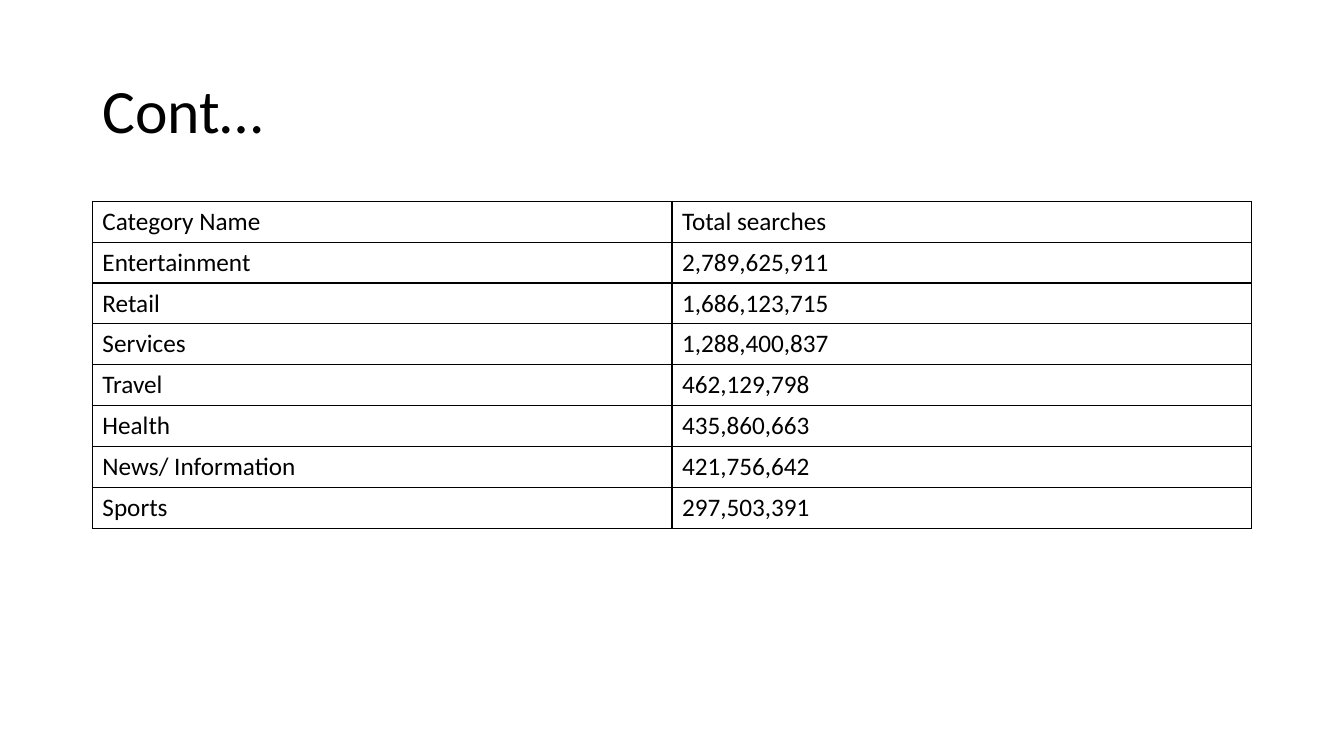
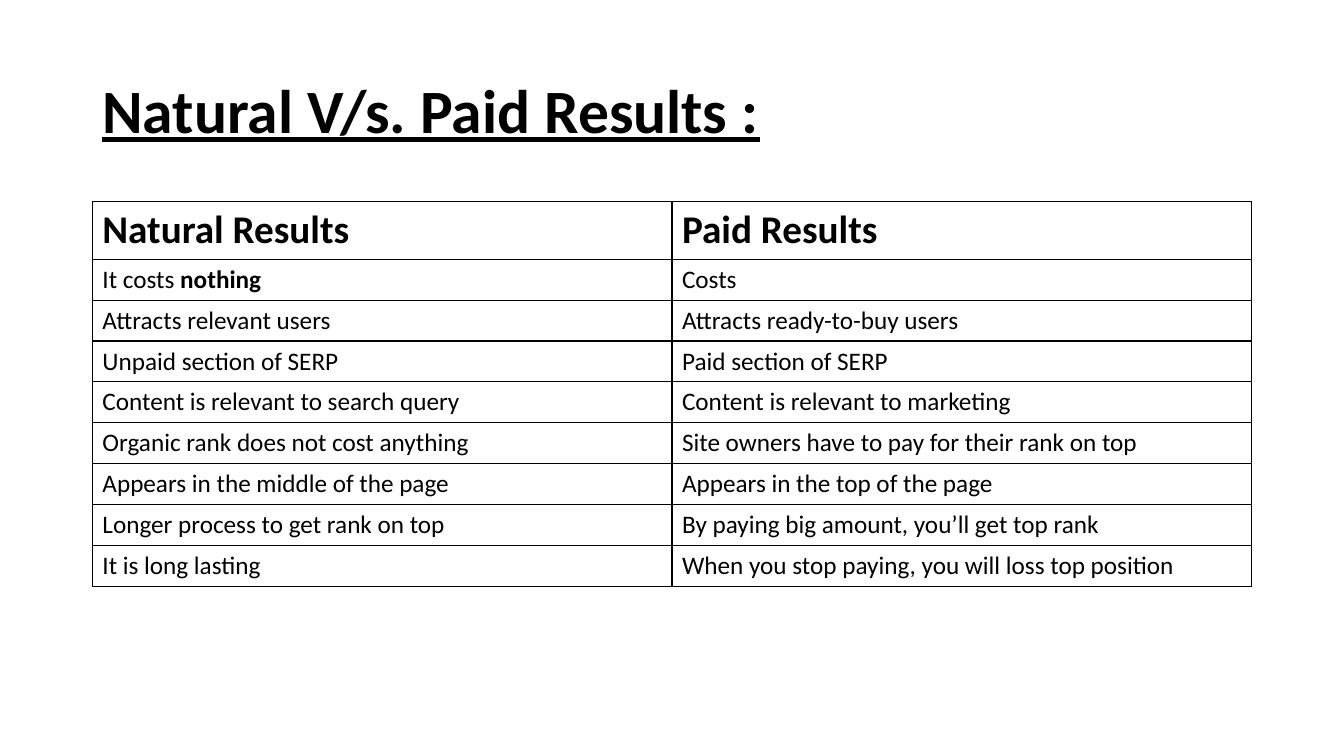
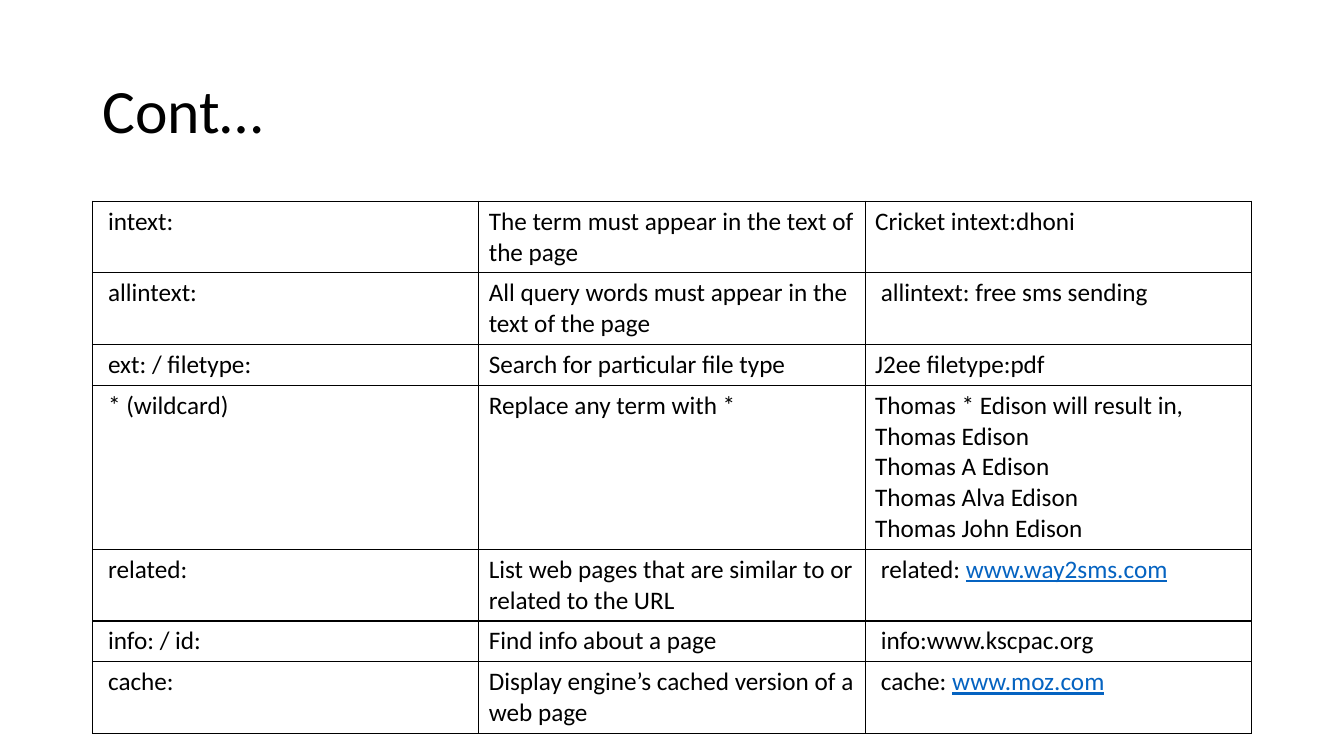
"""Build three search-marketing slides, each a title over a ruled table."""
import dataclasses

import lxml.etree
import pptx
import pptx.dml.color
import pptx.enum.text
import pptx.oxml.ns
import pptx.util

Pt = pptx.util.Pt
RGB = pptx.dml.color.RGBColor.from_string
qn = pptx.oxml.ns.qn


@dataclasses.dataclass(frozen=True)
class Theme:
    font: str = "Calibri"
    ink: str = "000000"
    link: str = "0563C1"
    title_size: int = 44
    header_size: int = 28
    body_size: int = 18
    rule_width: int = 1


THEME = Theme()

PLAIN = {"name": THEME.font, "size": Pt(THEME.body_size), "bold": False, "color": THEME.ink}
BOLD = PLAIN | {"bold": True}
LINK = PLAIN | {"underline": True, "color": THEME.link}
HEADER = BOLD | {"size": Pt(THEME.header_size)}
TITLE = PLAIN | {"size": Pt(THEME.title_size)}
STRONG_TITLE = TITLE | {"bold": True, "underline": True}

LEFT, WIDTH = 66, 828
TITLE_TOP, TITLE_HEIGHT = 28.75, 104.5
TABLE_TOP, ROW_HEIGHT = 143.75, 29.2
INDENTED_MARGIN = 11.25

SEARCHES = [
    ("Category Name", "Total searches"),
    ("Entertainment", "2,789,625,911"),
    ("Retail", "1,686,123,715"),
    ("Services", "1,288,400,837"),
    ("Travel", "462,129,798"),
    ("Health", "435,860,663"),
    ("News/ Information", "421,756,642"),
    ("Sports", "297,503,391"),
]

RESULTS = [
    ([("Natural Results", HEADER)], [("Paid Results", HEADER)]),
    ([("It costs ", PLAIN), ("nothing", BOLD)], "Costs"),
    ("Attracts relevant users", "Attracts ready-to-buy users"),
    ("Unpaid section of SERP", "Paid section of SERP"),
    ("Content is relevant to search query", "Content is relevant to marketing"),
    ("Organic rank does not cost anything", "Site owners have to pay for their rank on top"),
    ("Appears in the middle of the page", "Appears in the top of the page"),
    ("Longer process to get rank on top", "By paying big amount, you’ll get top rank"),
    ("It is long lasting", "When you stop paying, you will loss top position"),
]

OPERATORS = [
    ("intext:", "The term must appear in the text of the page", "Cricket intext:dhoni"),
    ("allintext:", "All query words must appear in the text of the page",
     "allintext: free sms sending"),
    ("ext: / filetype:", "Search for particular file type", "J2ee filetype:pdf"),
    ("* (wildcard)", "Replace any term with *",
     "Thomas * Edison will result in,\nThomas Edison\nThomas A Edison\n"
     "Thomas Alva Edison\nThomas John Edison"),
    ("related:", "List web pages that are similar to or related to the URL",
     [("related: ", PLAIN), ("www.way2sms.com", LINK)]),
    ("info: / id:", "Find info about a page", "info:www.kscpac.org"),
    ("cache:", "Display engine’s cached version of a web page",
     [("cache: ", PLAIN), ("www.moz.com", LINK)]),
]
INDENTED_OPERATORS = {(row, 0) for row in range(len(OPERATORS))} | {
    (row, 2) for row in (1, 4, 5, 6)}

SLIDES = [
    ("Cont…", TITLE, SEARCHES, set()),
    ("Natural V/s. Paid Results :", STRONG_TITLE, RESULTS, set()),
    ("Cont…", TITLE, OPERATORS, INDENTED_OPERATORS),
]


def add_run(paragraph, text, style):
    run = paragraph.add_run()
    run.text = text
    for attribute, value in style.items():
        if attribute == "color":
            run.font.color.rgb = RGB(value)
        else:
            setattr(run.font, attribute, value)


def write_title(slide, text, style):
    title = slide.shapes.title
    place = {"left": Pt(LEFT), "top": Pt(TITLE_TOP),
             "width": Pt(WIDTH), "height": Pt(TITLE_HEIGHT)}
    for attribute, value in place.items():
        setattr(title, attribute, value)
    title.text_frame.vertical_anchor = pptx.enum.text.MSO_ANCHOR.MIDDLE
    heading = title.text_frame.paragraphs[0]
    heading.alignment = pptx.enum.text.PP_ALIGN.LEFT
    heading.line_spacing = 0.9
    add_run(heading, text, style)


def rule_cell(cell):
    properties = cell._tc.get_or_add_tcPr()
    for side in ("lnL", "lnR", "lnT", "lnB"):
        rule = lxml.etree.SubElement(properties, qn(f"a:{side}"), w=str(Pt(THEME.rule_width)))
        fill = lxml.etree.SubElement(rule, qn("a:solidFill"))
        lxml.etree.SubElement(fill, qn("a:srgbClr"), val=THEME.ink)
    cell.fill.background()


def write_cell(cell, content):
    if isinstance(content, str):
        lines = [[(line, PLAIN)] for line in content.split("\n")]
    else:
        lines = [content]
    for number, line in enumerate(lines):
        frame = cell.text_frame
        paragraph = frame.add_paragraph() if number else frame.paragraphs[0]
        for text, style in line:
            add_run(paragraph, text, style)


def add_ruled_table(slide, rows, indented):
    columns = len(rows[0])
    table = slide.shapes.add_table(
        len(rows), columns, Pt(LEFT), Pt(TABLE_TOP),
        Pt(WIDTH), Pt(ROW_HEIGHT * len(rows))).table
    table.first_row = table.horz_banding = False
    for column in table.columns:
        column.width = Pt(WIDTH / columns)
    for row_number, row in enumerate(rows):
        table.rows[row_number].height = Pt(ROW_HEIGHT)
        for column_number, content in enumerate(row):
            cell = table.cell(row_number, column_number)
            if (row_number, column_number) in indented:
                cell.margin_left = Pt(INDENTED_MARGIN)
            rule_cell(cell)
            write_cell(cell, content)


def main():
    deck = pptx.Presentation()
    deck.slide_width, deck.slide_height = Pt(960), Pt(540)
    title_only = deck.slide_layouts.get_by_name("Title Only")
    for heading, heading_style, rows, indented in SLIDES:
        slide = deck.slides.add_slide(title_only)
        write_title(slide, heading, heading_style)
        add_ruled_table(slide, rows, indented)
    deck.save("out.pptx")


if __name__ == "__main__":
    main()
